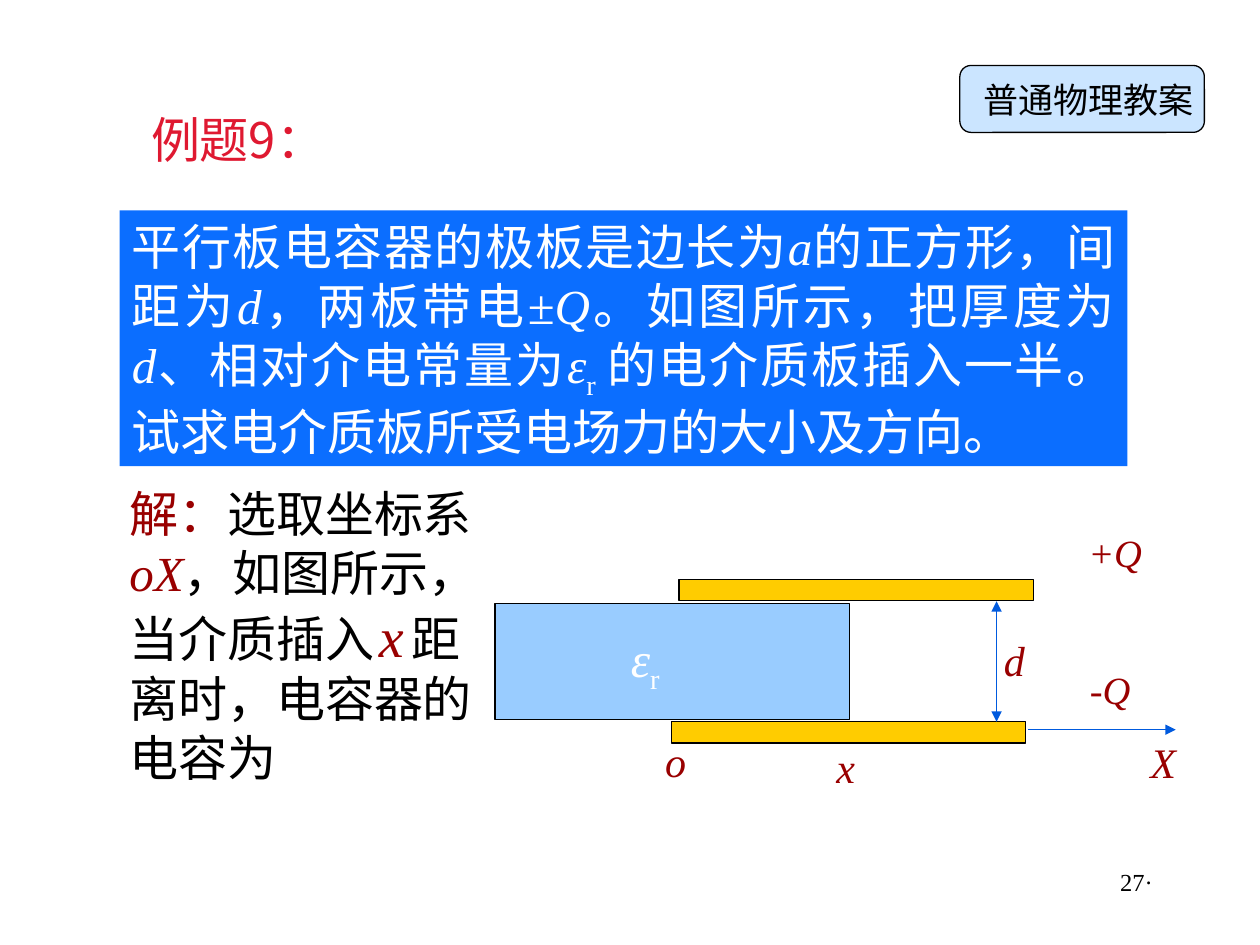
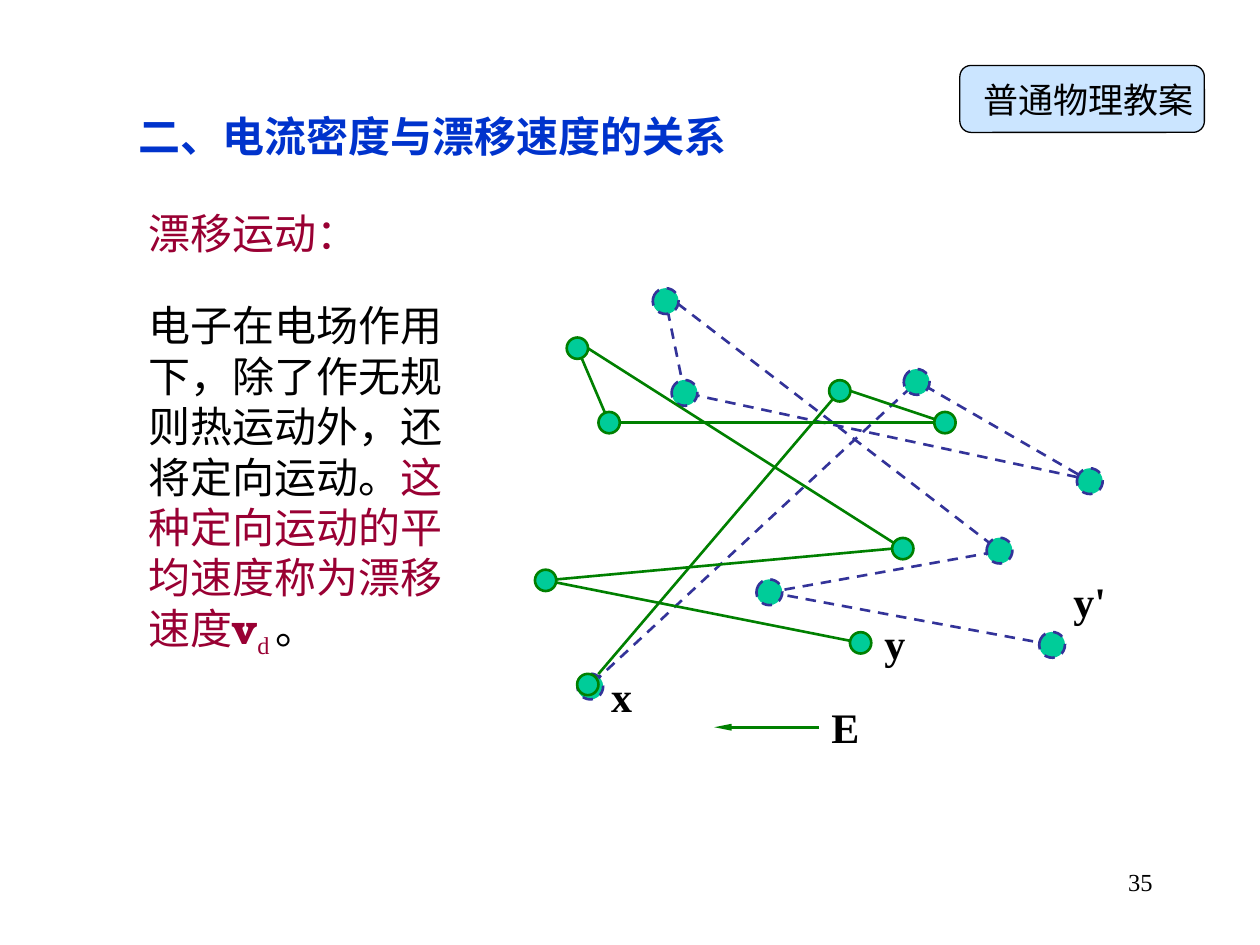
from itertools import pairwise

from lxml import etree
from pptx import Presentation
from pptx.dml.color import RGBColor
from pptx.enum import dml, shapes, text
from pptx.oxml.ns import qn
from pptx.util import Cm, Pt

BLACK = RGBColor(0x00, 0x00, 0x00)
WHITE = RGBColor(0xFF, 0xFF, 0xFF)
SKY = RGBColor(0x99, 0xCC, 0xFF)
PANEL_BLUE = RGBColor(0x0B, 0x6E, 0xFF)
HEADING_BLUE = RGBColor(0x00, 0x33, 0xCC)
ARROW_BLUE = RGBColor(0x00, 0x5A, 0xDE)
DASH_BLUE = RGBColor(0x33, 0x33, 0x99)
HEADING_RED = RGBColor(0xDF, 0x19, 0x31)
DARK_RED = RGBColor(0x99, 0x00, 0x00)
WINE = RGBColor(0x99, 0x00, 0x33)
GOLD = RGBColor(0xFF, 0xCC, 0x00)
GREEN = RGBColor(0x00, 0x80, 0x00)
TEAL = RGBColor(0x00, 0xCC, 0x99)

LATIN = "Times New Roman"
CJK = "Noto Sans CJK JP"

# Every length below is in centimetres: left, top, width, height.
# A span is its text, followed by what differs from the box's base style.
COURSE = [("普通物理教案", {})]
BADGE_AT = (19.35, 1.32, 4.93, 1.35)
PAGE_AT = (18.21, 17.35, 5.28, 1.27)

EXAMPLE = {
    "page": "27·",
    "title": "例题9：",
    "title_at": (2.79, 2.08, 6.65, 1.45),
    "title_style": dict(size=28, color=HEADING_RED, font=CJK),
}
ITALIC = dict(italic=True)
QUESTION_AT = (2.41, 4.24, 20.32, 5.16)
QUESTION = [
    ("平行板电容器的极板是边长为", {}), ("a", ITALIC),
    ("的正方形，间距为", {}), ("d", ITALIC),
    ("，两板带电±", {}), ("Q", ITALIC),
    ("。如图所示，把厚度为", {}), ("d", ITALIC),
    ("、相对介电常量为", {}), ("ε", ITALIC), ("r ", dict(base=-25)),
    ("的电介质板插入一半。试求电介质板所受电场力的大小及方向。", {}),
]
SOLUTION_AT = (2.36, 9.63, 7.77, 6.35)
SOLUTION = [
    ("解：", dict(color=DARK_RED)),
    ("选取坐标系", {}),
    ("oX", dict(color=DARK_RED, italic=True)),
    ("，如图所示，当介质插入", {}),
    (" ", dict(size=12)),
    ("x", dict(size=32, color=DARK_RED, italic=True)),
    (" ", dict(size=18, italic=True)),
    ("距离时，电容器的电容为", {}),
]
SLAB_LENGTH, PLATE_HEIGHT, SLAB_HEIGHT = 7.14, 0.43, 2.34
CAPACITOR = [  # left, top, height, fill
    (13.54, 14.55, PLATE_HEIGHT, GOLD),
    (9.98, 12.17, SLAB_HEIGHT, SKY),
    (13.69, 11.68, PLATE_HEIGHT, GOLD),
]
X_AXIS = ((20.73, 14.71), (23.7, 14.71))
GAP_ARROW = ((20.09, 12.12), (20.09, 14.55))
PERMITTIVITY_AT = (12.47, 12.55, 2.39, 1.6)
PERMITTIVITY = [("ε", ITALIC), ("r", dict(base=-25))]
CAPACITOR_LABELS = [  # text, left, top, width, size
    ("o", 13.16, 14.71, 1.07, 24),
    ("x", 16.61, 14.83, 1.07, 24),
    ("X", 22.94, 14.73, 1.07, 24),
    ("d", 19.99, 12.67, 1.07, 24),
    ("+Q", 21.69, 10.54, 2.36, 22),
    ("-Q", 21.72, 13.31, 2.36, 22),
]

DRIFT = {
    "page": "35",
    "title": "二、电流密度与漂移速度的关系",
    "title_at": (2.54, 2.11, 18.62, 1.27),
    "title_style": dict(size=24, color=HEADING_BLUE, bold=True),
}
TERM_AT = (2.74, 4.06, 6.1, 1.27)
TERM = [("漂移运动：", {})]
DEFINITION_AT = (2.74, 5.92, 6.78, 7.52)
DEFINITION = [
    ("电子在电场作用下，除了作无规则热运动外，还将定向运动。", {}),
    ("这种定向运动的平均速度称为漂移速度", dict(color=WINE)),
    ("v", dict(color=WINE, font="TeX Gyre Bonum", bold=True)),
    ("d ", dict(color=WINE, base=-25)),
    ("。", {}),
]
# Each collision: centre x, y, then the offset at which the next leg starts.
DRIFTING_PATH = [
    (11.9, 13.84, 0.06, -0.08), (18.48, 7.7, 0.17, 0.08),
    (21.97, 9.7, -0.25, -0.08), (13.8, 7.92, 0, 0),
    (13.42, 6.07, 0.24, 0.05), (20.15, 11.1, -0.11, 0.03),
    (15.51, 11.94, 0, 0), (21.21, 13, 0, 0),
]
THERMAL_PATH = [
    (11.85, 13.8, 0.21, -0.21), (16.93, 7.88, 0.21, 0),
    (19.05, 8.52, -0.21, 0), (12.28, 8.52, 0, 0),
    (11.64, 7.02, 0.21, 0), (18.2, 11.06, -0.21, 0),
    (11, 11.7, 0, 0), (17.35, 12.96, 0, 0),
]
FIELD_ARROW = ((16.51, 14.66), (14.4, 14.66))
PATH_LABELS = [("E", 16.51, 14.02), ("y'", 21.39, 11.48),
               ("y", 17.58, 12.32), ("x", 12.07, 13.39)]


def cm(*lengths):
    return [Cm(length) for length in lengths]


def write(shape, spans, align=text.PP_ALIGN.LEFT, **base_style):
    """Fill the shape with one paragraph, run by run."""
    frame = shape.text_frame
    frame.word_wrap = True
    frame.auto_size = text.MSO_AUTO_SIZE.NONE
    frame.vertical_anchor = text.MSO_ANCHOR.TOP
    para = frame.paragraphs[0]
    para.alignment = align
    for words, changes in spans:
        style = base_style | changes
        span = para.add_run()
        span.text = words
        font = span.font
        font.size = Pt(style["size"])
        font.color.rgb = style["color"]
        font.name = style.get("font", LATIN)
        font.bold = style.get("bold", False)
        font.italic = style.get("italic", False)
        properties = font._element
        etree.SubElement(properties, qn("a:ea")).set("typeface", CJK)
        if "base" in style:
            properties.set("baseline", str(style["base"] * 1000))


def add_text(page, at, spans, **style):
    write(page.shapes.add_textbox(*cm(*at)), spans, **style)


def add_block(page, kind, at, fill, line=None, width=0.75):
    block = page.shapes.add_shape(kind, *cm(*at))
    block.shadow.inherit = False
    block.fill.solid()
    block.fill.fore_color.rgb = fill
    if line is None:
        block.line.fill.background()
    else:
        block.line.color.rgb = line
        block.line.width = Pt(width)
    return block


def add_line(page, start, end, color, width, dash=None, **heads):
    """Heads map headEnd or tailEnd to an arrowhead's (width, length)."""
    line = page.shapes.add_connector(
        shapes.MSO_CONNECTOR.STRAIGHT, *cm(*start, *end))
    line.line.color.rgb = color
    line.line.width = Pt(width)
    if dash:
        line.line.dash_style = dash
    outline = line.line._get_or_add_ln()
    for name in ("headEnd", "tailEnd"):
        if name in heads:
            wide, long = heads[name]
            etree.SubElement(outline, qn(f"a:{name}"),
                             type="triangle", w=wide, len=long)
    etree.SubElement(line._element.spPr, qn("a:effectLst"))


def add_page(deck, content):
    """Add a slide with its title, course badge and page number."""
    page = deck.slides.add_slide(deck.slide_layouts[5])
    title = page.shapes.title
    title.left, title.top, title.width, title.height = cm(*content["title_at"])
    write(title, [(content["title"], {})], **content["title_style"])

    badge = add_block(page, shapes.MSO_SHAPE.ROUNDED_RECTANGLE,
                      BADGE_AT, SKY, BLACK)
    tint = badge._element.spPr.find(qn("a:solidFill"))[0]
    etree.SubElement(tint, qn("a:alpha")).set("val", "50000")
    frame = badge.text_frame
    frame.margin_left, frame.margin_top = cm(0.41, 0.2)
    frame.margin_right = frame.margin_bottom = 0
    write(badge, COURSE, size=20, color=BLACK)

    add_text(page, PAGE_AT, [(content["page"], {})],
             align=text.PP_ALIGN.RIGHT, size=14, color=BLACK)
    return page


def add_electron_path(page, stops, diameter, color, dash=None, rotation=0):
    for (x, y, dx, dy), (next_x, next_y, *_) in pairwise(stops):
        add_line(page, (x + dx, y + dy), (next_x, next_y), color, 1.5, dash)
    for x, y, *_ in stops:
        at = (x - diameter / 2, y - diameter / 2, diameter, diameter)
        electron = add_block(page, shapes.MSO_SHAPE.OVAL, at, TEAL, color, 1.5)
        electron.rotation = rotation
        if dash:
            electron.line.dash_style = dash


def build_example(deck):
    page = add_page(deck, EXAMPLE)
    panel = add_block(page, shapes.MSO_SHAPE.RECTANGLE, QUESTION_AT, PANEL_BLUE)
    write(panel, QUESTION, align=text.PP_ALIGN.JUSTIFY, size=28, color=WHITE)
    add_text(page, SOLUTION_AT, SOLUTION, size=28, color=BLACK)

    for left, top, height, fill in CAPACITOR:
        add_block(page, shapes.MSO_SHAPE.RECTANGLE,
                  (left, top, SLAB_LENGTH, height), fill, BLACK)
    medium = ("med", "med")
    add_line(page, *X_AXIS, ARROW_BLUE, 0.75, tailEnd=medium)
    add_line(page, *GAP_ARROW, ARROW_BLUE, 0.75,
             headEnd=medium, tailEnd=medium)
    add_text(page, PERMITTIVITY_AT, PERMITTIVITY, size=28, color=WHITE)
    for label, left, top, width, size in CAPACITOR_LABELS:
        add_text(page, (left, top, width, 1.25), [(label, ITALIC)],
                 size=size, color=DARK_RED)


def build_drift(deck):
    page = add_page(deck, DRIFT)
    add_text(page, TERM_AT, TERM, size=24, color=WINE)
    add_text(page, DEFINITION_AT, DEFINITION, size=24, color=BLACK)

    add_electron_path(page, DRIFTING_PATH, 0.52, DASH_BLUE,
                      dml.MSO_LINE.DASH, rotation=12.2)
    add_electron_path(page, THERMAL_PATH, 0.43, GREEN)
    add_line(page, *FIELD_ARROW, GREEN, 1.5, tailEnd=("sm", "lg"))
    for label, left, top in PATH_LABELS:
        add_text(page, (left, top, 2.74, 1.27), [(label, {})],
                 size=24, color=BLACK, bold=True)


def main():
    deck = Presentation()
    deck.slide_width, deck.slide_height = cm(25.4, 19.05)
    build_example(deck)
    build_drift(deck)
    deck.save("out.pptx")


if __name__ == "__main__":
    main()
